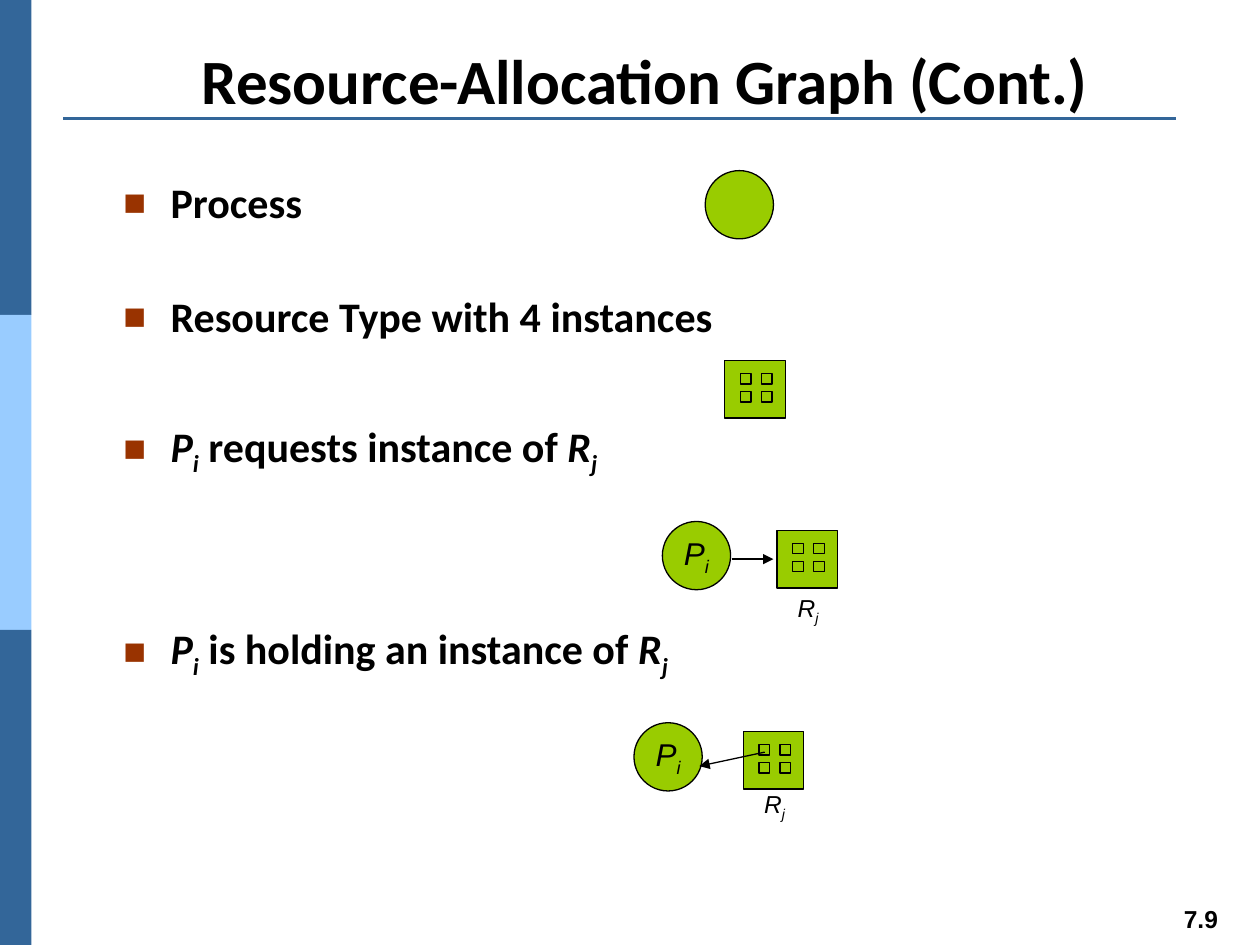
from itertools import product

from lxml import etree
from pptx import Presentation
from pptx.dml.color import RGBColor
from pptx.enum.shapes import MSO_CONNECTOR, MSO_SHAPE
from pptx.enum.text import MSO_ANCHOR, PP_ALIGN
from pptx.oxml.ns import qn
from pptx.util import Pt

BLACK = RGBColor(0x00, 0x00, 0x00)
BLUE = RGBColor(0x33, 0x66, 0x99)
SKY = RGBColor(0x99, 0xCC, 0xFF)
GREEN = RGBColor(0x99, 0xCC, 0x00)
RUST = RGBColor(0x99, 0x33, 0x00)

PROCESS_SIZE = 39
RESOURCE_WIDTH, RESOURCE_HEIGHT = 34.5, 33

# Runs are (text, style): "" plain, "i" italic, "s" italic subscript
P_I = [("P", "i"), ("i", "s")]
R_J = [("R", "i"), ("j", "s")]


def write_text(frame, paragraphs, size, font="Arial", bold=False, wrap=False,
               align=PP_ALIGN.CENTER, anchor=MSO_ANCHOR.MIDDLE):
    """Fill a text frame; each paragraph is a list of (text, style) runs."""
    frame.word_wrap = wrap
    frame.vertical_anchor = anchor
    frame.margin_left = frame.margin_right = 0
    frame.margin_top = frame.margin_bottom = 0
    for index, runs in enumerate(paragraphs):
        paragraph = frame.add_paragraph() if index else frame.paragraphs[0]
        paragraph.alignment = align
        for words, style in runs:
            run = paragraph.add_run()
            run.text = words
            run.font.name, run.font.size = font, Pt(size)
            run.font.bold, run.font.italic = bold, style != ""
            run.font.color.rgb = BLACK
            if style == "s":
                run.font._element.set("baseline", "-25000")
    return frame


def add_text(slide, box, paragraphs, **text_format):
    textbox = slide.shapes.add_textbox(*map(Pt, box))
    return write_text(textbox.text_frame, paragraphs, **text_format)


def add_block(shapes, kind, box, fill, outline=None):
    block = shapes.add_shape(kind, *map(Pt, box))
    block.shadow.inherit = False
    block.fill.solid()
    block.fill.fore_color.rgb = fill
    if outline is None:
        block.line.fill.background()
    else:
        block.line.color.rgb = outline
        block.line.width = Pt(0.75)
    return block


def add_line(slide, start, end, color, width, arrow=False):
    line = slide.shapes.add_connector(MSO_CONNECTOR.STRAIGHT,
                                      *map(Pt, (*start, *end)))
    line.line.color.rgb = color
    line.line.width = Pt(width)
    if arrow:
        etree.SubElement(line.line._get_or_add_ln(), qn("a:tailEnd"),
                         type="triangle")
    etree.SubElement(line._element.spPr, qn("a:effectLst"))


def add_bullet(paragraph, indent):
    properties = paragraph._p.get_or_add_pPr()
    properties.set("marL", str(Pt(indent)))
    properties.set("indent", str(-Pt(indent)))
    color = etree.SubElement(properties, qn("a:buClr"))
    etree.SubElement(color, qn("a:srgbClr"), val=str(RUST))
    etree.SubElement(properties, qn("a:buSzPct"), val="90000")
    etree.SubElement(properties, qn("a:buFont"), typeface="Arial")
    etree.SubElement(properties, qn("a:buChar"), char="■")


def add_sidebar(slide, left, top, width, height):
    band = height / 3
    for index, color in enumerate((BLUE, SKY, BLUE)):
        add_block(slide.shapes, MSO_SHAPE.RECTANGLE,
                  (left, top + index * band, width, band), color)


def add_header(slide, left, top, width, height):
    add_text(slide, (left, top, width, height),
             [[("Resource-Allocation Graph (Cont.)", "")]],
             size=36, font="Calibri", bold=True, anchor=MSO_ANCHOR.BOTTOM)
    rule = top + height + 0.7
    add_line(slide, (36, rule), (672, rule), BLUE, 1.5)


def add_legend(slide, left, top, width, height):
    entries = [
        (0, [("Process", "")]),
        (36.4, [("Resource Type with 4 instances", "")]),
        (45, P_I + [(" requests instance of ", "")] + R_J),
        (83, P_I + [(" is holding an instance of ", "")] + R_J),
    ]
    frame = add_text(slide, (left, top, width, height),
                     [runs for _, runs in entries], size=24, font="Calibri",
                     bold=True, wrap=True, align=PP_ALIGN.LEFT,
                     anchor=MSO_ANCHOR.TOP)
    for paragraph, (gap, _) in zip(frame.paragraphs, entries):
        paragraph.space_before = Pt(gap)
        add_bullet(paragraph, 27)


def add_process(slide, left, top, label=None):
    circle = add_block(slide.shapes, MSO_SHAPE.OVAL,
                       (left, top, PROCESS_SIZE, PROCESS_SIZE), GREEN, BLACK)
    if label:
        write_text(circle.text_frame, [label], size=18)


def add_resource(slide, left, top):
    """A resource type with a two by two grid of instances."""
    group = slide.shapes.add_group_shape()
    add_block(group.shapes, MSO_SHAPE.RECTANGLE,
              (left, top, RESOURCE_WIDTH, RESOURCE_HEIGHT), GREEN, BLACK)
    for row, column in product(range(2), repeat=2):
        add_block(group.shapes, MSO_SHAPE.RECTANGLE,
                  (left + 9 + 12 * column, top + 7.5 + 10.2 * row, 6, 6),
                  GREEN, BLACK)


def add_edge_diagram(slide, left, top, resource_left, label_top, start, end):
    """Process and resource joined by an arrow, given relative to the corner."""
    add_process(slide, left, top, P_I)
    add_resource(slide, left + resource_left, top + 5)
    add_line(slide, (left + start[0], top + start[1]),
             (left + end[0], top + end[1]), BLACK, 0.75, arrow=True)
    add_text(slide, (left + resource_left + 4.5, top + label_top, 26.5, 24),
             [R_J], size=14)


def main():
    presentation = Presentation()
    presentation.slide_width, presentation.slide_height = Pt(720), Pt(540)
    slide = presentation.slides.add_slide(presentation.slide_layouts[6])

    # Frame of the slide
    add_sidebar(slide, 0, 0, 18, 540)
    add_header(slide, 44.5, 21.5, 648, 45.5)
    add_text(slide, (664.5, 512.5, 43.5, 24.5), [[("7.9", "")]],
             size=14, bold=True)

    # Legend and its symbols
    add_legend(slide, 70.5, 101, 634, 350)
    add_process(slide, 403, 97.5)
    add_resource(slide, 414.2, 206)

    # Request edge, then assignment edge
    add_edge_diagram(slide, 378.5, 298, 65.5, 38.3, (39.8, 21.5), (63.5, 21.5))
    add_edge_diagram(slide, 362.3, 413, 62.5, 35.5, (74.7, 16.8), (37.3, 24.8))

    presentation.save("out.pptx")


if __name__ == "__main__":
    main()
